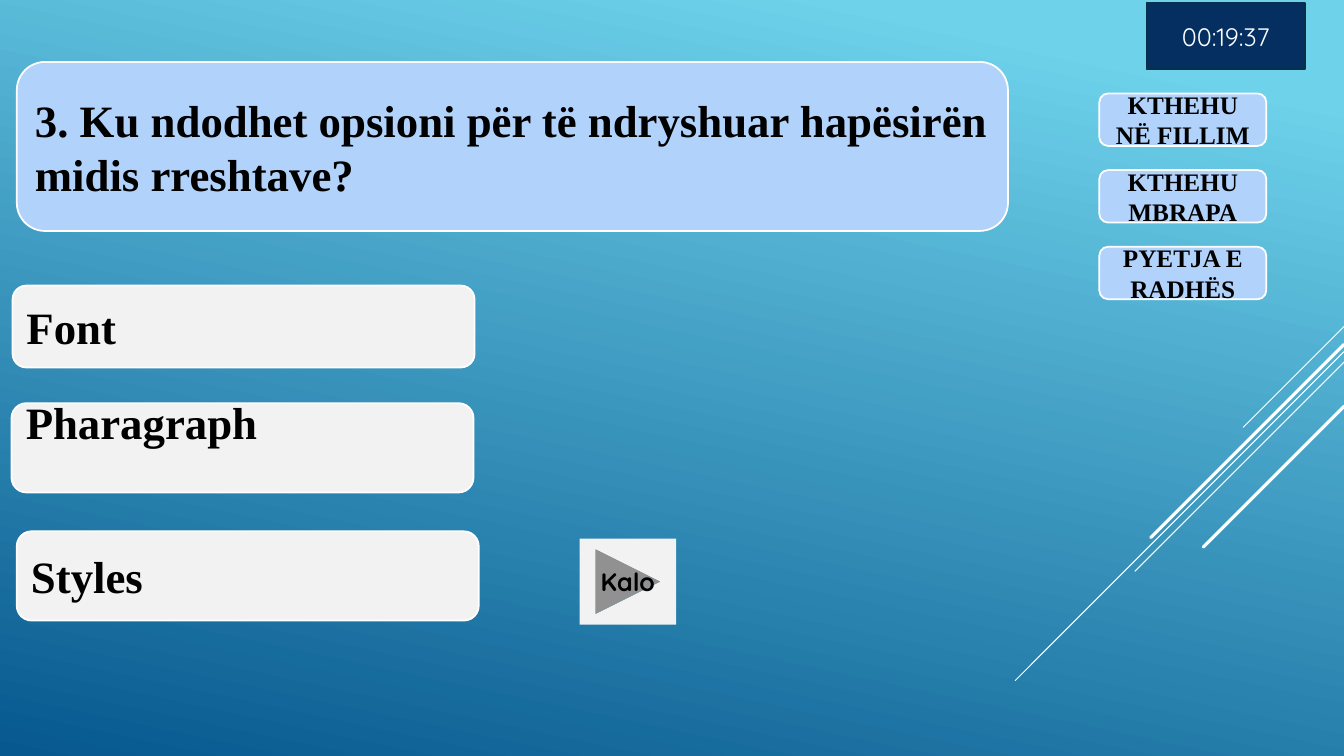
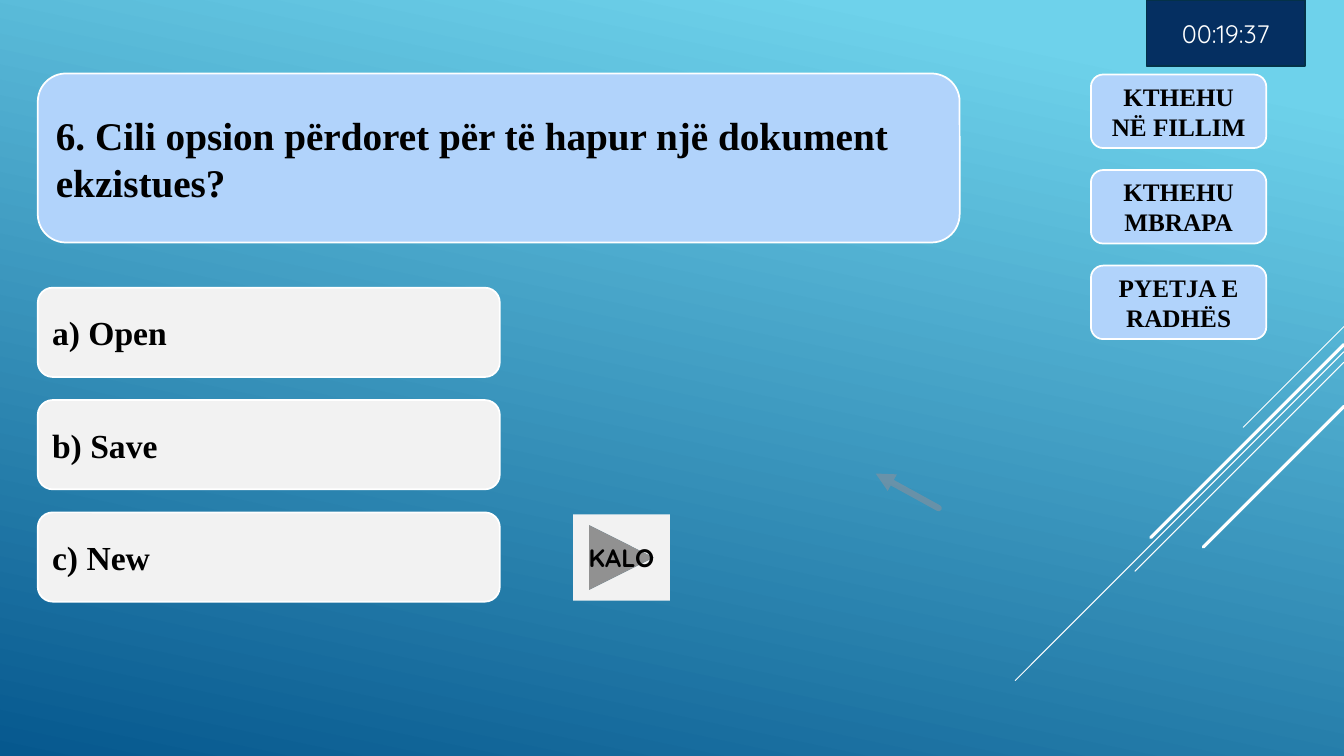
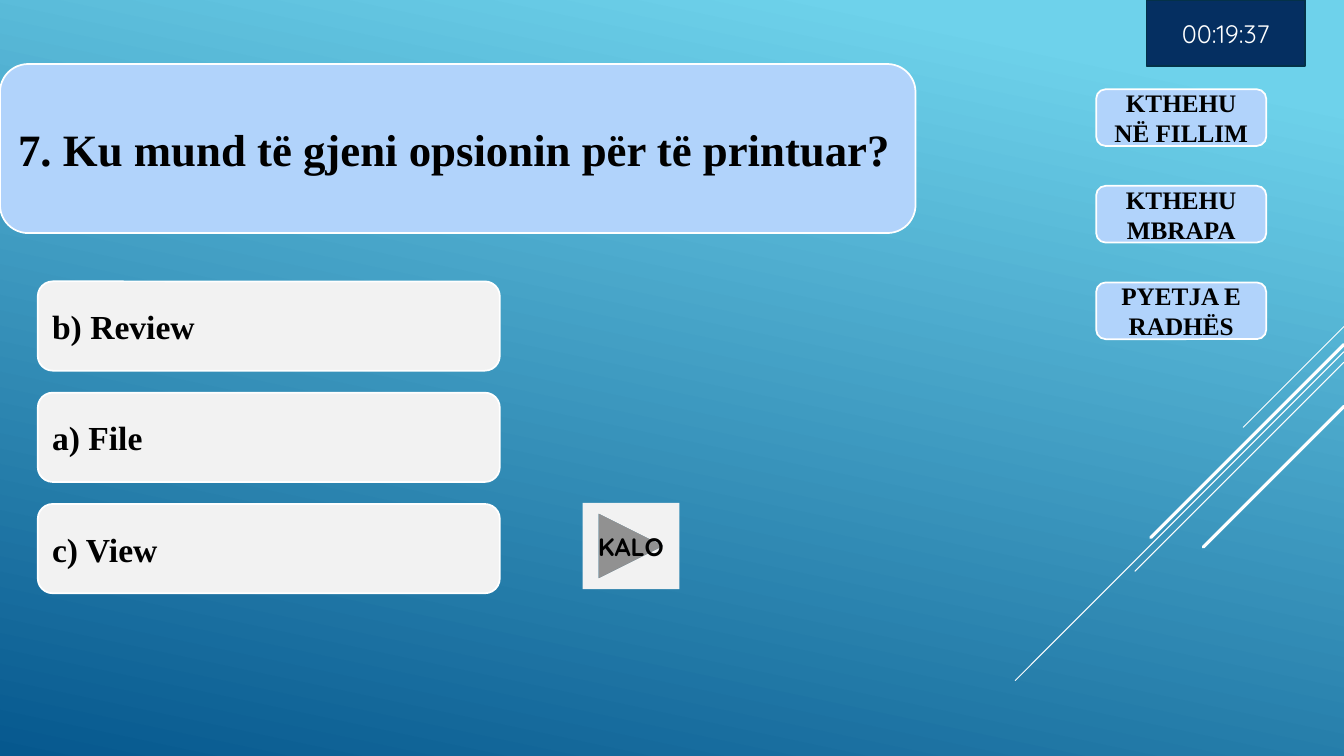
from lxml import etree
from pptx import Presentation
from pptx.dml.color import RGBColor
from pptx.enum.shapes import MSO_CONNECTOR, MSO_SHAPE
from pptx.enum.text import MSO_ANCHOR, PP_ALIGN
from pptx.oxml.ns import qn
from pptx.util import Pt

PX = 9525  # EMU in one px, 96 px to the inch
WIDTH, HEIGHT = 1280, 720
COLORS = {
    "sky": "6ED2EB", "sea": "06588E", "panel": "B1D3FB", "answer": "F2F2F2",
    "navy": "052F61", "navy_edge": "043148", "white": "FFFFFF",
    "black": "000000", "pointer": "89919C",
}
SERIF, SANS = "Times New Roman", "Quicksand"

# Shared parts
STREAKS = [(311, 96, 0.75), (335, 313, 0.75), (345, 199, 0.75),
           (328, 184, 2.25), (387, 134, 2.25)]  # start height, run, line width
NAV_LABELS = ["KTHEHU NË FILLIM", "KTHEHU MBRAPA", "PYETJA E RADHËS"]
NAV_RIGHT = 1206
ANSWER_WIDTH = 440

# Content of each slide; boxes are left, top, width, height
QUESTIONS = [
    {"question": "3. Ku ndodhet opsioni për të ndryshuar hapësirën midis rreshtave?",
     "box": (16, 59, 944, 161), "size": 32,
     "answers": ["Font", "Pharagraph", "Styles"], "answer_size": 32,
     "lefts": [12, 11, 16], "tops": [272, 384, 506], "heights": [78, 85, 85],
     "nav": (89, 73, 159, 50), "skip": ("Kalo", 552, 513), "timer_top": 3},
    {"question": "6. Cili opsion përdoret për të hapur një dokument ekzistues?",
     "box": (36, 70, 878, 161), "size": 28,
     "answers": ["a) Open", "b) Save", "c) New"], "answer_size": 24,
     "lefts": [36] * 3, "tops": range(274, 489, 107), "heights": [85] * 3,
     "nav": (71, 91, 167, 70), "skip": ("KALO", 546, 490), "timer_top": 0},
    {"question": "7. Ku mund të gjeni opsionin për të printuar?",
     "box": (0, 61, 872, 161), "size": 32,
     "answers": ["b) Review", "a) File", "c) View"], "answer_size": 24,
     "lefts": [36] * 3, "tops": range(268, 481, 106), "heights": [85] * 3,
     "nav": (85, 92, 162, 54), "skip": ("KALO", 555, 479), "timer_top": 0},
]


def add_box(slide, preset, box, text, size, fill, edge="white", font=SERIF,
            color="black", bold=True, align=PP_ALIGN.CENTER):
    shape = slide.shapes.add_shape(preset, *(n * PX for n in box))
    shape.shadow.inherit = False
    shape.fill.solid()
    shape.fill.fore_color.rgb = RGBColor.from_string(COLORS[fill])
    if edge:
        shape.line.color.rgb = RGBColor.from_string(COLORS[edge])
        shape.line.width = Pt(1.25)
    else:
        shape.line.fill.background()
    frame = shape.text_frame
    frame.word_wrap = True
    frame.vertical_anchor = MSO_ANCHOR.MIDDLE
    frame.text = text
    paragraph = frame.paragraphs[0]
    paragraph.alignment = align
    run_font = paragraph.runs[0].font
    run_font.name, run_font.size, run_font.bold = font, Pt(size), bold
    run_font.color.rgb = RGBColor.from_string(COLORS[color])
    return shape


def add_line(slide, ends, color, width):
    line = slide.shapes.add_connector(MSO_CONNECTOR.STRAIGHT, *(n * PX for n in ends))
    line.line.color.rgb = RGBColor.from_string(COLORS[color])
    line.line.width = Pt(width)
    line.line._get_or_add_ln().set("cap", "rnd")
    etree.SubElement(line._element.spPr, qn("a:effectLst"))
    return line


prs = Presentation()
prs.slide_width, prs.slide_height = WIDTH * PX, HEIGHT * PX

# Background gradient, shared through the master
backdrop = prs.slide_master.background.fill
backdrop.gradient()
backdrop.gradient_angle = 258
for stop, position, name in zip(backdrop.gradient_stops, (0.1, 1), ("sky", "sea")):
    stop.position = position
    stop.color.rgb = RGBColor.from_string(COLORS[name])

slides = []
for item in QUESTIONS:
    slide = prs.slides.add_slide(prs.slide_layouts[6])
    slides.append(slide)

    # Diagonal streaks from the right edge, all at 45 degrees
    for start, run, width in STREAKS:
        add_line(slide, (WIDTH, start, WIDTH - run, start + run), "white", width)

    # Question
    add_box(slide, MSO_SHAPE.ROUNDED_RECTANGLE, item["box"], item["question"],
            item["size"], "panel", align=PP_ALIGN.LEFT)

    # Answers
    for answer, left, top, height in zip(item["answers"], item["lefts"],
                                         item["tops"], item["heights"]):
        choice = add_box(slide, MSO_SHAPE.ROUNDED_RECTANGLE,
                         (left, top, ANSWER_WIDTH, height), answer,
                         item["answer_size"], "answer", align=PP_ALIGN.LEFT)
        if answer == "Pharagraph":  # this answer sits high in its box
            choice.text_frame.margin_bottom = 54 * PX

    # Navigation buttons
    first, step, width, height = item["nav"]
    for row, label in enumerate(NAV_LABELS):
        add_box(slide, MSO_SHAPE.ROUNDED_RECTANGLE,
                (NAV_RIGHT - width, first + row * step, width, height),
                label, 18, "panel")

    # Skip button and timer
    label, left, top = item["skip"]
    add_box(slide, MSO_SHAPE.ACTION_BUTTON_FORWARD_OR_NEXT, (left, top, 92, 82),
            label, 18, "answer", edge=None, font=SANS)
    add_box(slide, MSO_SHAPE.RECTANGLE, (1092, item["timer_top"], 151, 63),
            "00:19:37", 18, "navy", edge="navy_edge", font=SANS, color="white",
            bold=False)

# Translucent pointer on the second slide
pointer = add_line(slides[1], (894, 484, 834, 451), "pointer", 4.5)
pointer_ln = pointer.line._get_or_add_ln()
etree.SubElement(pointer_ln.find(".//" + qn("a:srgbClr")), qn("a:alpha"), val="60000")
etree.SubElement(pointer_ln, qn("a:tailEnd"), type="triangle")

prs.save("out.pptx")
